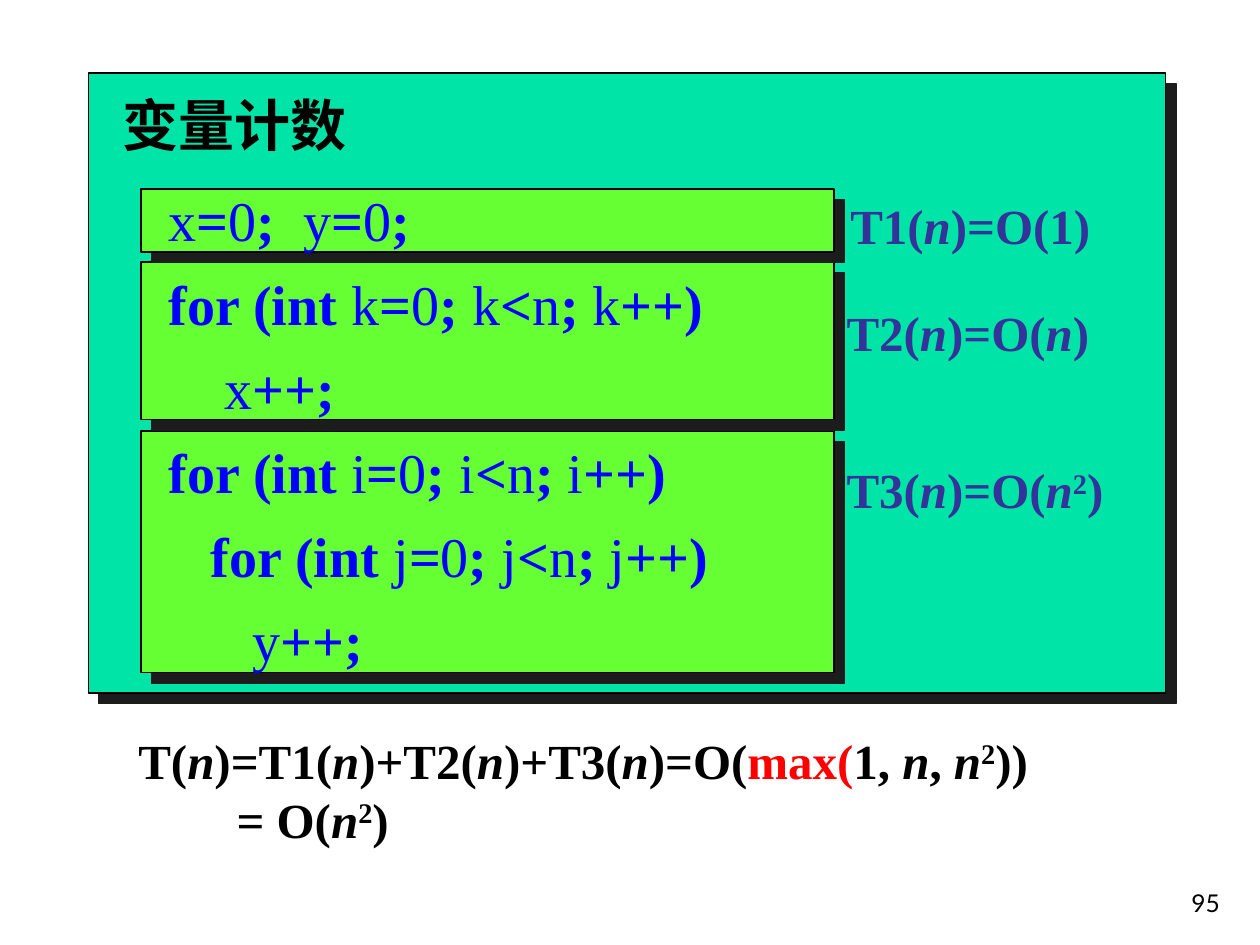
import pptx
import pptx.util
import pptx.dml.color
import pptx.enum.text
import pptx.enum.shapes
import lxml.etree

Inches = pptx.util.Inches
Pt = pptx.util.Pt
HUES = {"panel": "00E4A8", "block": "66FF33", "shade": "1C1C1C", "ink": "000000",
        "code": "0000FF", "cost": "333399", "max": "FF0000"}
MARKS = "*_^~"
SHADE = (
    '<a:effectLst xmlns:a="http://schemas.openxmlformats.org/drawingml/2006/main">'
    '<a:outerShdw dist="107950" dir="2700000" algn="ctr" rotWithShape="0">'
    '<a:srgbClr val="{}"/></a:outerShdw></a:effectLst>'
)


def color(name):
    return pptx.dml.color.RGBColor.from_string(HUES[name])


class Page:
    def __init__(self, deck, face):
        self.slide = deck.slides.add_slide(deck.slide_layouts[6])
        self.face = face

    def card(self, left, top, width, height, hue):
        box = self.slide.shapes.add_shape(
            pptx.enum.shapes.MSO_SHAPE.RECTANGLE,
            Inches(left), Inches(top), Inches(width), Inches(height))
        box.fill.solid()
        box.fill.fore_color.rgb = color(hue)
        box.line.color.rgb = color("ink")
        box.line.width = Pt(0.75)
        shade = lxml.etree.fromstring(SHADE.format(HUES["shade"]))
        box._element.spPr.append(shade)

    def runs(self, para, line):
        state = dict.fromkeys(MARKS, False)
        chunk = ""
        for sign in line + "*":
            if sign not in state:
                chunk += sign
                continue
            if chunk:
                run = para.add_run()
                run.text = chunk
                if state["*"]:
                    run.font.bold = True
                if state["_"]:
                    run.font.italic = True
                if state["^"]:
                    run.font._element.set("baseline", "30000")
                if state["~"]:
                    run.font.color.rgb = color("max")
            chunk = ""
            state[sign] = not state[sign]

    def text(self, left, top, width, height, lines, size, hue="ink", bold=True,
             face=None, space=None, inset=0, wrap=False, align=None, low=False):
        box = self.slide.shapes.add_textbox(
            Inches(left), Inches(top), Inches(width), Inches(height))
        frame = box.text_frame
        frame.word_wrap = wrap
        if not wrap:
            frame.auto_size = pptx.enum.text.MSO_AUTO_SIZE.SHAPE_TO_FIT_TEXT
        if low:
            frame.vertical_anchor = pptx.enum.text.MSO_ANCHOR.BOTTOM
        for spot, line in enumerate(lines):
            para = frame.add_paragraph() if spot else frame.paragraphs[0]
            if spot and inset:
                para._p.get_or_add_pPr().set("marL", str(Inches(inset)))
            para.line_spacing = space
            para.alignment = align
            para.font.name = face or self.face
            para.font.size = Pt(size)
            para.font.color.rgb = color(hue)
            if bold:
                para.font.bold = True
            self.runs(para, line)


def main():
    deck = pptx.Presentation()
    deck.slide_width, deck.slide_height = Inches(10), Inches(7.5)
    page = Page(deck, "Times New Roman")

    page.card(0.7, 0.58, 8.55, 4.92, "panel")
    for top, height in ((3.42, 1.92), (2.08, 1.25), (1.5, 0.5)):
        page.card(1.12, top, 5.5, height, "block")

    page.text(0.87, 0.67, 1.99, 0.63, ["变量计数"], 32)
    code = [
        "x*=*0*;  *y*=*0*;*",
        "*for (int* k*=*0*; *k*<*n*; *k*++)*",
        "    x*++;*",
        "*for (int *i*=*0*; *i*<*n*; *i*++)*",
        "   *for (int* j*=*0*; *j*<*n*;* j*++)*",
        "      y*++;*",
    ]
    page.text(1.24, 1.29, 4.53, 4.14, code, 32, "code", bold=False, space=1.25)

    costs = [
        (6.65, 1.5, 2.13, "T1(_n_)=O(1)"),
        (6.62, 2.35, 2.15, "T2(_n_)=O(_n_)"),
        (6.62, 3.6, 2.28, "T3(_n_)=O(_n_^2^)"),
    ]
    for left, top, width, line in costs:
        page.text(left, top, width, 0.57, [line], 28, "cost")

    total = [
        "T(_n_)=T1(_n_)+T2(_n_)+T3(_n_)=O(~max(~1, _n_, _n_^2^))",
        "= O(_n_^2^)",
    ]
    page.text(1, 5.75, 7.37, 1.04, total, 28, inset=0.78)
    page.text(7.7, 6.83, 2.08, 0.5, ["95"], 14, bold=False, face="Lato", wrap=True,
              align=pptx.enum.text.PP_ALIGN.RIGHT, low=True)

    deck.save("out.pptx")


if __name__ == "__main__":
    main()
